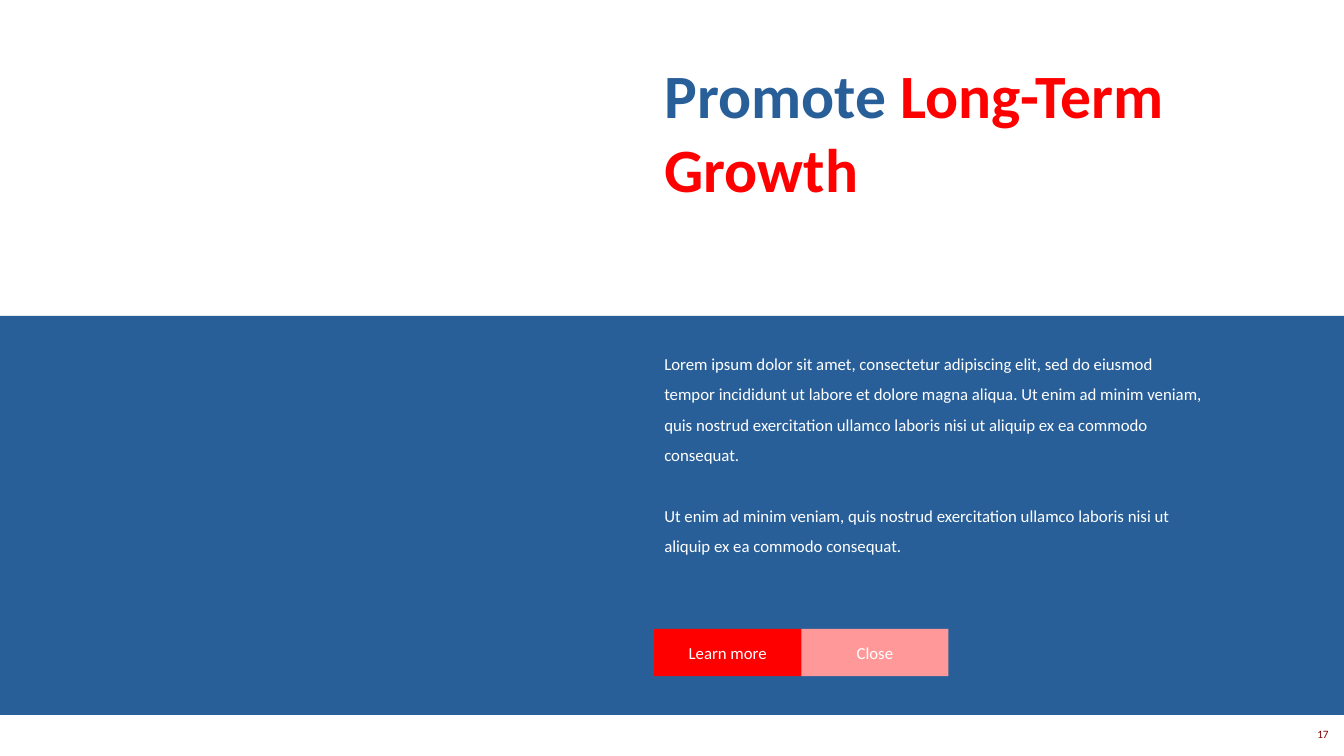
from lxml import etree
from pptx import Presentation
from pptx.dml.color import RGBColor
from pptx.enum import shapes, text
from pptx.oxml import ns
from pptx.util import Pt

# Content
COLORS = {"blue": "295F98", "red": "FF0000", "pink": "FF9999",
          "white": "FFFFFF", "maroon": "800000"}
FONT = "Calibri"
HEADLINE = [("Promote ", "blue"), ("Long-Term Growth", "red")]
STORY = [
    "Lorem ipsum dolor sit amet, consectetur adipiscing elit, sed do eiusmod "
    "tempor incididunt ut labore et dolore magna aliqua. Ut enim ad minim veniam, "
    "quis nostrud exercitation ullamco laboris nisi ut aliquip ex ea commodo consequat.",
    "Ut enim ad minim veniam, quis nostrud exercitation ullamco laboris nisi ut "
    "aliquip ex ea commodo consequat.",
]
BUTTONS = [("Learn more", "red"), ("Close", "pink")]
PAGE = "17"

# Layout in points
WIDTH, HEIGHT = 960, 540
COLUMN = 467.3
BUTTON_TOP, BUTTON_WIDTH, BUTTON_HEIGHT = 449.3, 105.1, 33.8


def box(left, top, width, height):
    return Pt(left), Pt(top), Pt(width), Pt(height)


def place(part, *bounds):
    part.left, part.top, part.width, part.height = box(*bounds)
    frame = part.text_frame
    frame.auto_size = text.MSO_AUTO_SIZE.NONE
    frame.vertical_anchor = text.MSO_ANCHOR.TOP
    frame.word_wrap = True
    return frame


def style(run, size, color, bold=False):
    run.font.name, run.font.size, run.font.bold = FONT, Pt(size), bold
    run.font.color.rgb = RGBColor.from_string(COLORS[color])


def rectangle(color, *bounds):
    area = slide.shapes.add_shape(shapes.MSO_SHAPE.RECTANGLE, *box(*bounds))
    area.shadow.inherit = False
    area.fill.solid()
    area.fill.fore_color.rgb = RGBColor.from_string(COLORS[color])
    area.line.fill.background()
    return area


deck = Presentation()
deck.slide_width, deck.slide_height = Pt(WIDTH), Pt(HEIGHT)
slide = deck.slides.add_slide(deck.slide_layouts[1])
headline, story = slide.placeholders

# Blue band, sent behind the text
band = rectangle("blue", 0, 225.6, WIDTH, 285.1)
headline._element.addprevious(band._element)

# Two-colour headline
line = place(headline, COLUMN, 37.4, 378.7, 113.8).paragraphs[0]
line.alignment = text.PP_ALIGN.LEFT
for words, color in HEADLINE:
    run = line.add_run()
    run.text = words
    style(run, 44, color, bold=True)

# Body text without bullets
body = place(story, COLUMN, 241.9, 400.3, 159.8)
body.text = "\n".join(STORY)
for number, paragraph in enumerate(body.paragraphs):
    paragraph.line_spacing = 1.5
    paragraph.space_before = Pt(21.8 * number)
    properties = paragraph._p.get_or_add_pPr()
    properties.set("marL", "0")
    properties.set("indent", "0")
    etree.SubElement(properties, ns.qn("a:buNone"))
    style(paragraph.runs[0], 12, "white")

# Buttons side by side
for number, (label, color) in enumerate(BUTTONS):
    button = rectangle(color, COLUMN + number * BUTTON_WIDTH, BUTTON_TOP,
                       BUTTON_WIDTH, BUTTON_HEIGHT)
    button.text_frame.text = label
    button.text_frame.vertical_anchor = text.MSO_ANCHOR.MIDDLE
    caption = button.text_frame.paragraphs[0]
    caption.alignment = text.PP_ALIGN.CENTER
    style(caption.runs[0], 12, "white")

# Page number
bounds = (917.3, 516.2, 38.9, 17.3)
page = place(slide.shapes.add_textbox(*box(*bounds)), *bounds)
page.text = PAGE
page.paragraphs[0].alignment = text.PP_ALIGN.RIGHT
style(page.paragraphs[0].runs[0], 8, "maroon")

deck.save("out.pptx")
